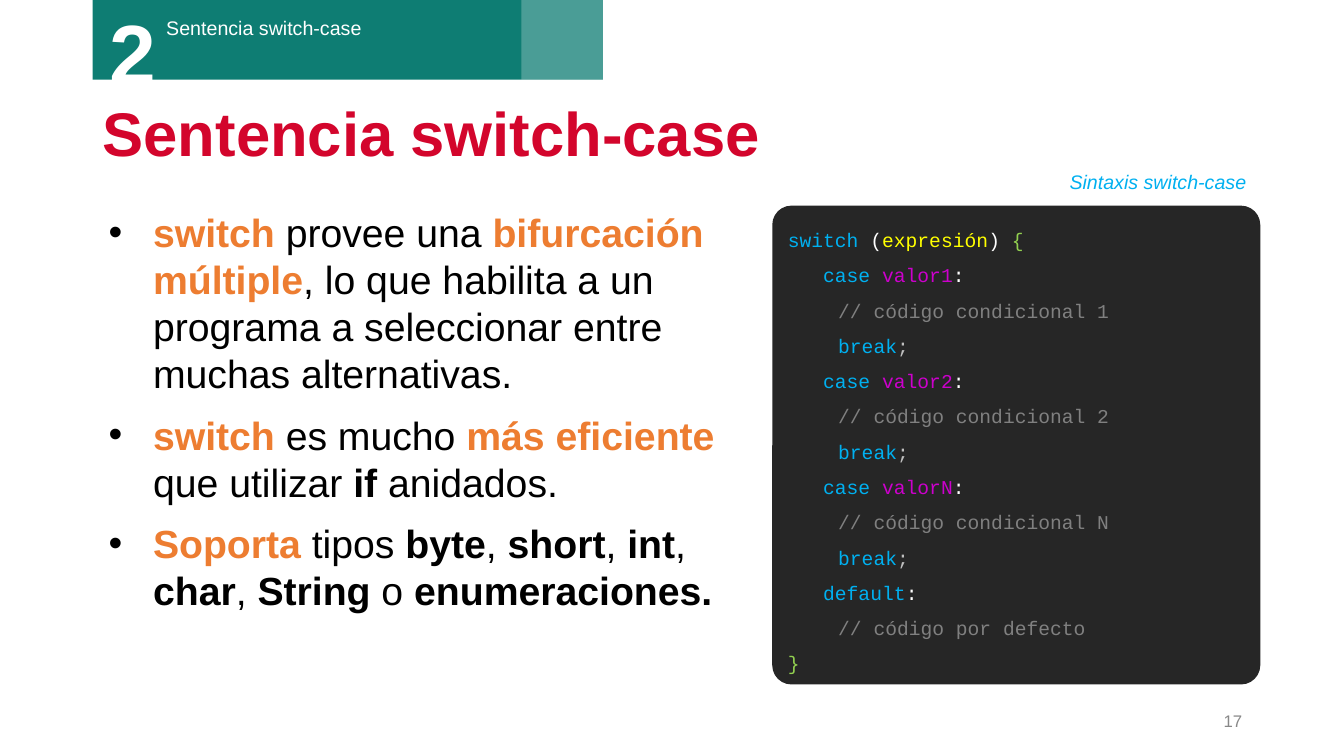
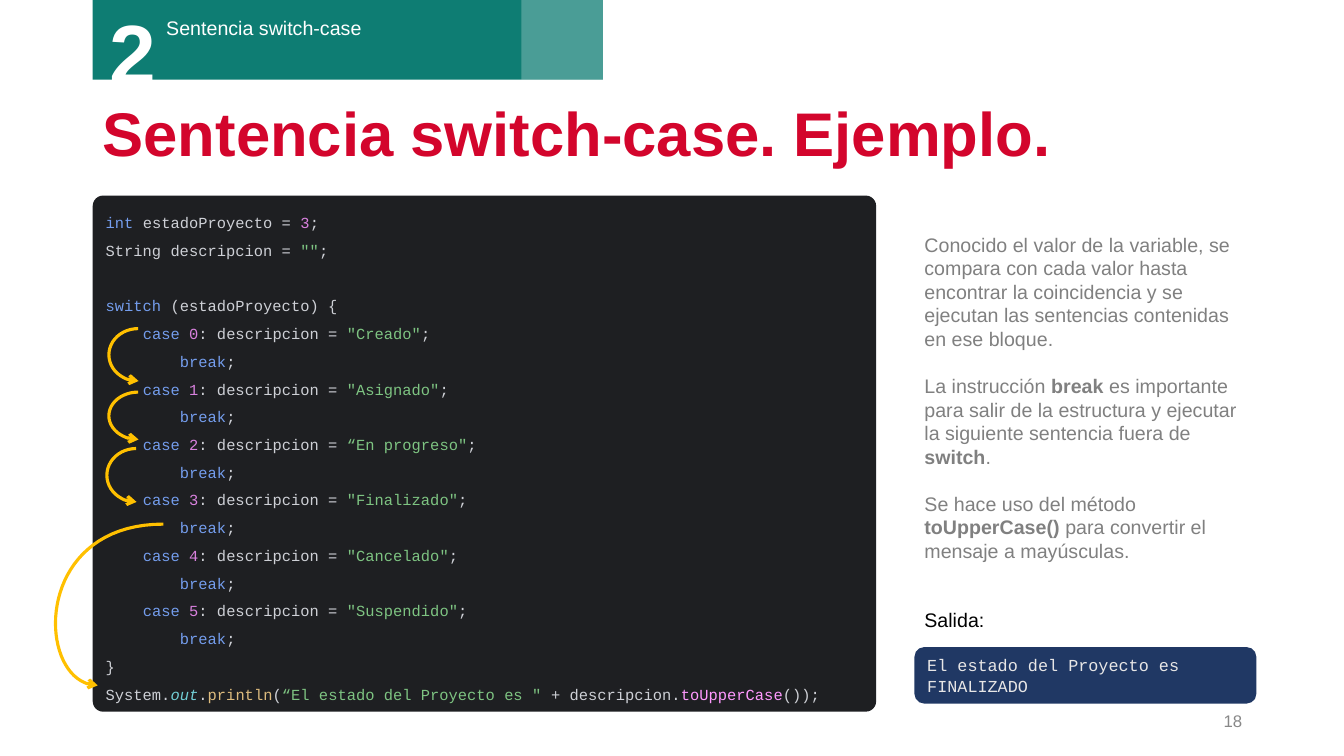
from lxml import etree
from pptx import Presentation
from pptx import util as u
from pptx.dml.color import RGBColor
from pptx.enum import shapes, text
from pptx.oxml.ns import qn

SANS, MONO = "Arial", "Courier New"
HUES = {
    "white": "FFFFFF", "black": "000000", "teal": "0E7D73", "red": "D3052C",
    "orange": "ED7D31", "gray": "808080", "page": "888888", "sky": "00B0F0",
    "dark": "262626", "yellow": "FFFF00", "lime": "92D050", "plum": "CC00CC",
    "silver": "BFBFBF", "ink": "1E1F22", "pale": "CED0D6", "blue": "749DED",
    "pink": "D981DE", "green": "7EC482", "aqua": "72CFD6", "sand": "DEBC7E",
    "rose": "FF99FF", "gold": "FFC000", "navy": "203864", "mist": "E7E6E6",
}
# Each style is the letter that follows an opening "~" in marked text.
PROSE = {"o": {"hue": "orange", "bold": True}, "b": {"bold": True}}
SYNTAX = {"k": {"hue": "sky"}, "e": {"hue": "yellow"}, "b": {"hue": "lime"},
          "v": {"hue": "plum"}, "c": {"hue": "gray"}, "s": {"hue": "silver"}}
SAMPLE = {"k": {"hue": "blue"}, "n": {"hue": "pink"}, "s": {"hue": "green"},
          "f": {"hue": "aqua", "italic": True}, "p": {"hue": "sand"},
          "m": {"hue": "rose"}}


def rgb(hue):
    return RGBColor.from_string(HUES[hue])


def inch(box):
    return [u.Inches(n) for n in box]


def sub(node, tag, **attrs):
    return etree.SubElement(node, qn(tag), attrs)


def bullet(para):
    props = para._p.get_or_add_pPr()
    props.set("marL", str(u.Inches(0.5)))
    props.set("indent", str(u.Inches(-0.44)))
    sub(sub(props, "a:buClr"), "a:srgbClr", val=HUES["black"])
    sub(props, "a:buFont", typeface=SANS)
    sub(props, "a:buChar", char="•")


def write(shape, lines, size=14, font=SANS, hue="black", bold=False,
          italic=False, styles=None, lead=None, gap=0, gaps=None,
          align="LEFT", anchor="TOP", wrap=True, dots=False):
    """Fill a shape; "~x...~" gives a stretch of a line the style x.

    gap is the space before every later line; gaps sets it by line index.
    """
    frame = shape.text_frame
    frame.word_wrap = wrap
    frame.vertical_anchor = getattr(text.MSO_ANCHOR, anchor)
    for i, line in enumerate(lines):
        para = frame.paragraphs[0] if i == 0 else frame.add_paragraph()
        para.alignment = getattr(text.PP_ALIGN, align)
        if lead:
            para.line_spacing = lead
        space = (gaps or {}).get(i, gap)
        if i and space:
            para.space_before = u.Pt(space)
        if dots:
            bullet(para)
        for j, part in enumerate(line.split("~")):
            if not part:
                continue
            look = {"hue": hue, "bold": bold, "italic": italic}
            if j % 2:
                look.update(styles[part[0]])
                part = part[1:]
            run = para.add_run()
            run.text = part
            run.font.name = font
            run.font.size = u.Pt(size)
            run.font.bold = look["bold"]
            run.font.italic = look["italic"]
            run.font.color.rgb = rgb(look["hue"])


def label(slide, box, lines, **form):
    write(slide.shapes.add_textbox(*inch(box)), lines, **form)


def block(slide, box, fill, round=None, alpha=None):
    kind = shapes.MSO_SHAPE.RECTANGLE
    if round is not None:
        kind = shapes.MSO_SHAPE.ROUNDED_RECTANGLE
    shape = slide.shapes.add_shape(kind, *inch(box))
    if round is not None:
        shape.adjustments[0] = round
    shape.shadow.inherit = False
    shape.fill.solid()
    shape.fill.fore_color.rgb = rgb(fill)
    shape.line.fill.background()
    if alpha:
        tint = shape.element.spPr.find(".//" + qn("a:srgbClr"))
        sub(tint, "a:alpha", val=str(alpha * 1000))
    return shape


def panel(slide, box, fill, lines, round, **form):
    write(block(slide, box, fill, round), lines, font=MONO, **form)


def arrow(shape):
    """Draw an open shape as a gold arrow."""
    shape.shadow.inherit = False
    shape.fill.background()
    shape.line.color.rgb = rgb("gold")
    shape.line.width = u.Pt(2.25)
    sub(shape.element.spPr.find(qn("a:ln")), "a:tailEnd", type="arrow")


def hop(slide, box):
    """Arrow that bows left, from one case to the next."""
    arc = slide.shapes.add_shape(shapes.MSO_SHAPE.ARC, *inch(box))
    arc.adjustments[0], arc.adjustments[1] = 162, 54.61
    arc.element.spPr.find(qn("a:xfrm")).set("flipH", "1")
    arrow(arc)


def leap(slide, box):
    """Arrow that bows left out of the panel, from break to the end."""
    x, y, w, h = box
    knots = [(x + w, y), (x - 0.26, y), (x - 0.19, y + h), (x + 0.42, y + h)]
    steps = 40

    def spot(t):
        mix = ((1 - t) ** 3, 3 * t * (1 - t) ** 2, 3 * t * t * (1 - t), t ** 3)
        return tuple(u.Inches(sum(m * k[a] for m, k in zip(mix, knots)))
                     for a in (0, 1))

    spots = [spot(n / steps) for n in range(steps + 1)]
    pen = slide.shapes.build_freeform(*spots[0], scale=1.0)
    pen.add_line_segments(spots[1:], close=False)
    arrow(pen.convert_to_shape())


def band(slide, box):
    x, y, w, h = box
    block(slide, box, "teal")
    label(slide, (x + 0.63, y + 0.12, 2.75, 0.34),
          ["Sentencia switch-case"], hue="white")
    label(slide, (x + 0.07, y - 0.03, 1.12, 1.11), ["2"],
          size=60, hue="white", bold=True)
    block(slide, (x + w - 0.81, y, 0.81, h), "white", alpha=25)


def base(deck, title, page):
    """Add a slide with the band, title and page number all slides share."""
    slide = deck.slides.add_slide(deck.slide_layouts[6])
    band(slide, (0.92, -0.01, 5.06, 0.8))
    label(slide, (0.92, 0.93, 11.5, 0.86), [title], size=44, hue="red",
          bold=True, lead=0.9, anchor="MIDDLE")
    label(slide, (9.42, 6.95, 3, 0.4), [str(page)], size=12, hue="page",
          align="RIGHT", anchor="MIDDLE")
    return slide


def theory(deck):
    slide = base(deck, "Sentencia switch-case", 17)
    label(slide, (0.92, 2.02, 6.84, 4.93), [
        "~oswitch~ provee una ~obifurcación múltiple~, lo que habilita a un "
        "programa a seleccionar entre muchas alternativas.",
        "~oswitch~ es mucho ~omás eficiente~ que utilizar ~bif~ anidados.",
        "~oSoporta~ tipos ~bbyte~, ~bshort~, ~bint~, ~bchar~, ~bString~ o "
        "~benumeraciones.~",
    ], size=28, styles=PROSE, gap=10, dots=True)
    code = ["~kswitch~ (~eexpresión~) ~b{~"]
    for n in "12N":
        code += [f"   ~kcase ~~vvalor{n}~:",
                 f"\t~c// código condicional {n}~",
                 "\t~kbreak~~s;~"]
    code += ["   ~kdefault~:", "\t~c// código por defecto~", "~b}~"]
    panel(slide, (7.66, 2.04, 4.84, 4.75), "dark", code, 0.04,
          hue="white", styles=SYNTAX, lead=1.5)
    label(slide, (10.51, 1.64, 1.97, 0.34), ["Sintaxis switch-case"],
          hue="sky", italic=True, wrap=False)


def example(deck):
    slide = base(deck, "Sentencia switch-case. Ejemplo.", 18)
    code = ["~kint ~estadoProyecto = ~n3~;",
            'String descripcion = ~s""~;',
            "~kswitch ~(estadoProyecto) {"]
    states = ['"Creado"', '"Asignado"', '“En progreso"', '"Finalizado"',
              '"Cancelado"', '"Suspendido"']
    for n, state in enumerate(states):
        code += [f"    ~kcase ~~n{n}~: descripcion = ~s{state}~;",
                 "        ~kbreak~;"]
    code += ["}", 'System.~fout~.~pprintln~(~s“El estado del Proyecto es " ~'
             "+ descripcion.~mtoUpperCase~());"]
    panel(slide, (0.92, 1.94, 7.77, 5.12), "ink", code, 0.02, size=11,
          hue="pale", styles=SAMPLE, lead=1.5, gaps={2: 19.8},
          anchor="MIDDLE")
    label(slide, (9.07, 2.26, 3.39, 3.4), [
        "Conocido el valor de la variable, se compara con cada valor hasta "
        "encontrar la coincidencia y se ejecutan las sentencias contenidas "
        "en ese bloque.",
        "La instrucción ~bbreak~ es importante para salir de la estructura y "
        "ejecutar la siguiente sentencia fuera de ~bswitch~.",
        "Se hace uso del método ~btoUpperCase()~ para convertir el mensaje a "
        "mayúsculas.",
    ], hue="gray", styles=PROSE, gap=16.8)
    for x, y, h in ((1.08, 3.26, 0.52), (1.08, 3.89, 0.47),
                    (1.06, 4.45, 0.53)):
        hop(slide, (x, y, 0.58, h))
    leap(slide, (0.55, 5.2, 1.07, 1.6))
    panel(slide, (9.07, 6.42, 3.39, 0.56), "navy",
          ["El estado del Proyecto es FINALIZADO"], 0.17, size=12,
          hue="mist", anchor="MIDDLE")
    label(slide, (9.07, 5.98, 0.8, 0.34), ["Salida:"], wrap=False)


def main():
    deck = Presentation()
    deck.slide_width, deck.slide_height = u.Inches(13.33), u.Inches(7.5)
    theory(deck)
    example(deck)
    deck.save("out.pptx")


if __name__ == "__main__":
    main()
